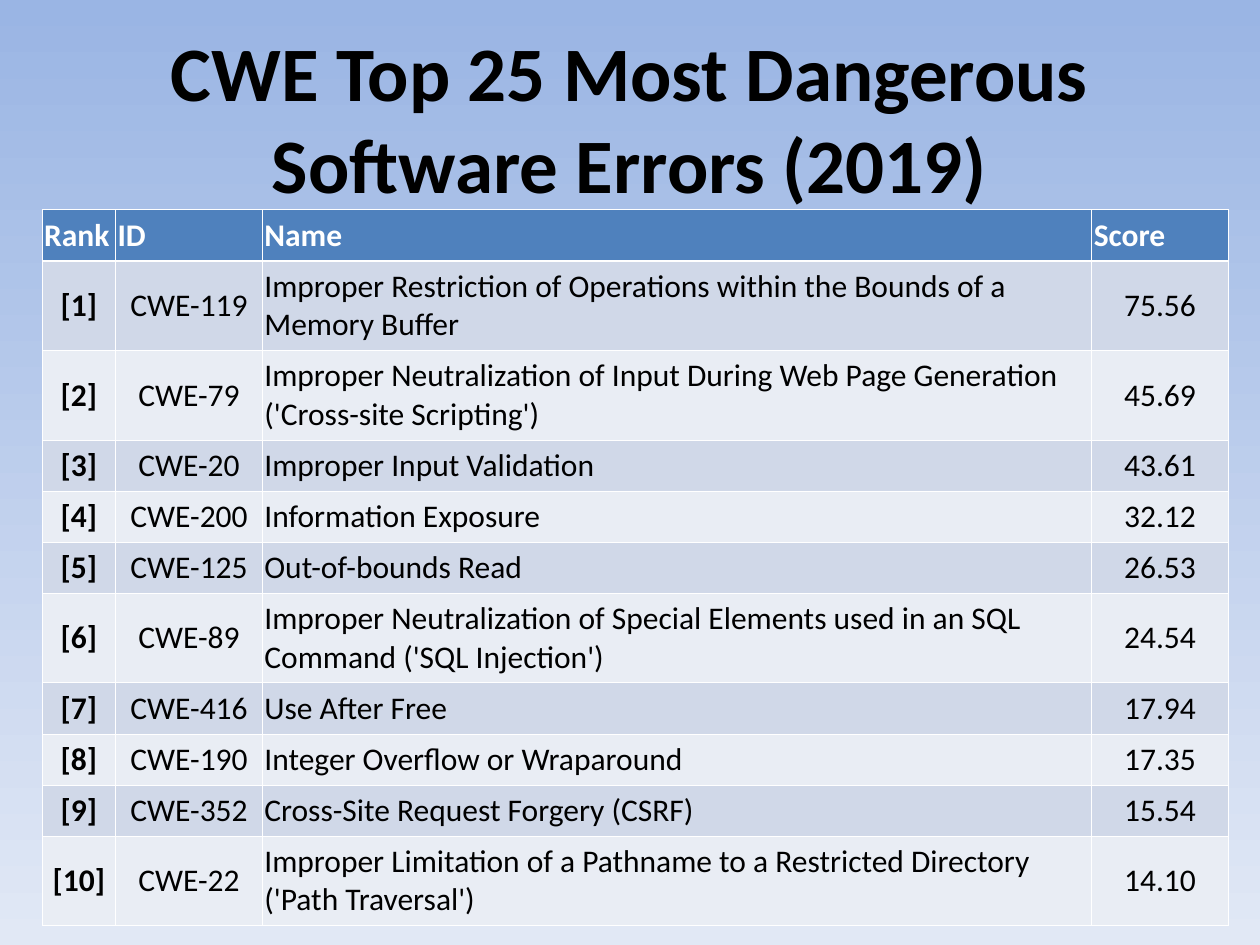
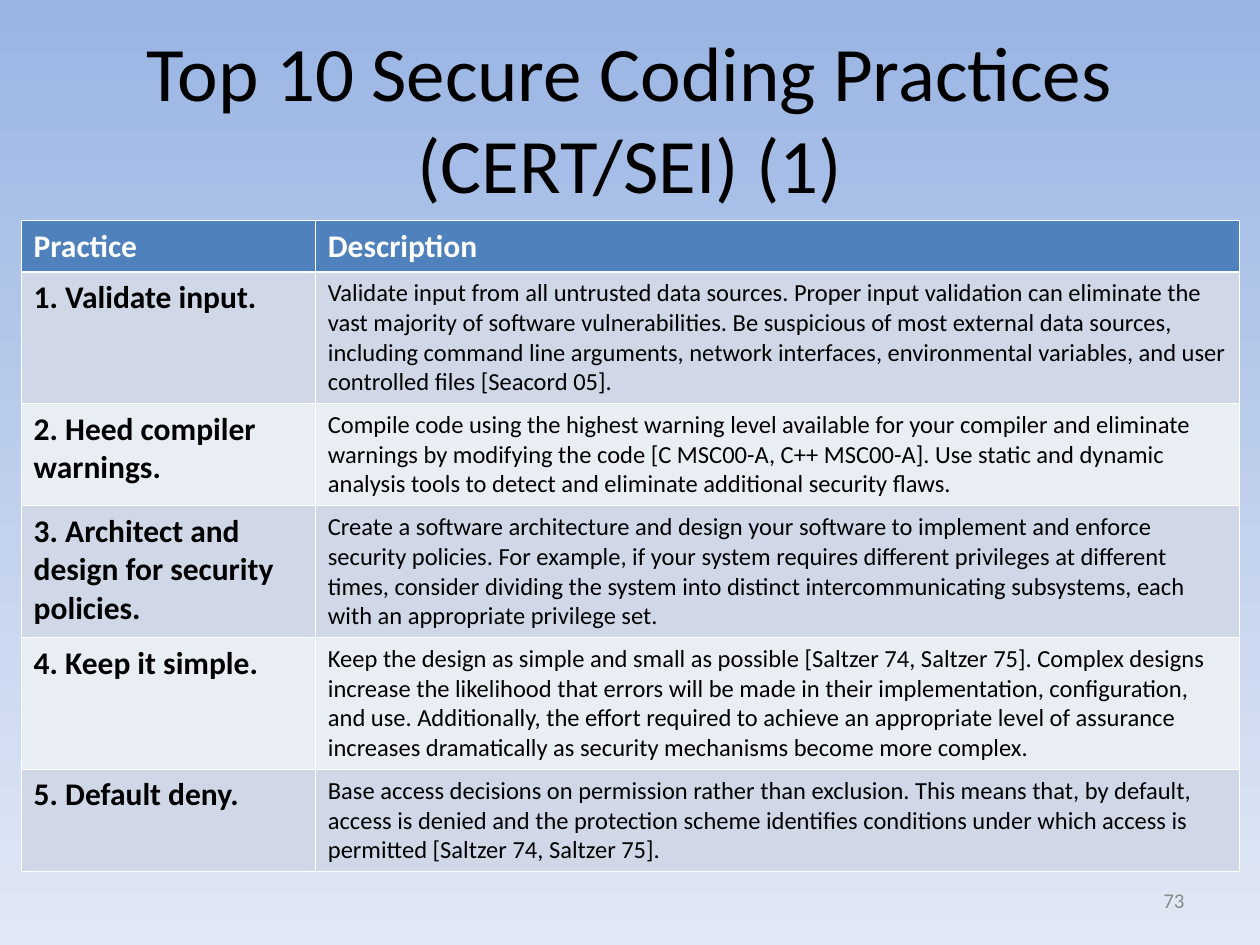
from lxml import etree
from pptx import Presentation
from pptx.dml.color import RGBColor
from pptx.enum.text import MSO_ANCHOR, MSO_AUTO_SIZE, PP_ALIGN
from pptx.oxml.ns import qn
from pptx.util import Cm, Pt

LEFT, CENTER, RIGHT = PP_ALIGN.LEFT, PP_ALIGN.CENTER, PP_ALIGN.RIGHT
TOP, MIDDLE = MSO_ANCHOR.TOP, MSO_ANCHOR.MIDDLE
NO_AUTOFIT = MSO_AUTO_SIZE.NONE
TITLE_ONLY_LAYOUT = 5

FONT = "Calibri"
BLACK, WHITE, GREY = "000000", "FFFFFF", "898989"
HEADER_FILL = "4F81BD"
BAND_FILLS = ("D0D8E8", "E9EDF4")
BACKGROUND = ("9AB5E4", "E1E8F5")
THIN_BORDER, HEADER_BORDER = 0.45, 1.47

SINGLE_ROW, DOUBLE_ROW = 1.02, 1.6

ERRORS = [
    ("CWE-119", "Improper Restriction of Operations within the Bounds of a Memory Buffer", "75.56"),
    ("CWE-79", "Improper Neutralization of Input During Web Page Generation "
               "('Cross-site Scripting')", "45.69"),
    ("CWE-20", "Improper Input Validation", "43.61"),
    ("CWE-200", "Information Exposure", "32.12"),
    ("CWE-125", "Out-of-bounds Read", "26.53"),
    ("CWE-89", "Improper Neutralization of Special Elements used in an SQL Command "
               "('SQL Injection')", "24.54"),
    ("CWE-416", "Use After Free", "17.94"),
    ("CWE-190", "Integer Overflow or Wraparound", "17.35"),
    ("CWE-352", "Cross-Site Request Forgery (CSRF)", "15.54"),
    ("CWE-22", "Improper Limitation of a Pathname to a Restricted Directory "
               "('Path Traversal')", "14.10"),
]

PRACTICES = [
    ("Validate input.",
     "Validate input from all untrusted data sources. Proper input validation can eliminate "
     "the vast majority of software vulnerabilities. Be suspicious of most external data "
     "sources, including command line arguments, network interfaces, environmental variables, "
     "and user controlled files [Seacord 05]."),
    ("Heed compiler warnings.",
     "Compile code using the highest warning level available for your compiler and eliminate "
     "warnings by modifying the code [C MSC00-A, C++ MSC00-A]. Use static and dynamic analysis "
     "tools to detect and eliminate additional security flaws."),
    ("Architect and design for security policies.",
     "Create a software architecture and design your software to implement and enforce "
     "security policies. For example, if your system requires different privileges at "
     "different times, consider dividing the system into distinct intercommunicating "
     "subsystems, each with an appropriate privilege set."),
    ("Keep it simple.",
     "Keep the design as simple and small as possible [Saltzer 74, Saltzer 75]. Complex "
     "designs increase the likelihood that errors will be made in their implementation, "
     "configuration, and use. Additionally, the effort required to achieve an appropriate "
     "level of assurance increases dramatically as security mechanisms become more complex."),
    ("Default deny.",
     "Base access decisions on permission rather than exclusion. This means that, by default, "
     "access is denied and the protection scheme identifies conditions under which access is "
     "permitted [Saltzer 74, Saltzer 75]."),
]


def color(hex_string):
    return RGBColor.from_string(hex_string)


def set_borders(cell, top, bottom):
    """Draw white cell borders; top and bottom are widths in points."""
    properties = cell._tc.get_or_add_tcPr()
    widths = {"lnL": THIN_BORDER, "lnR": THIN_BORDER, "lnT": top, "lnB": bottom}
    for position, (tag, width) in enumerate(widths.items()):
        line = etree.Element(qn(f"a:{tag}"), w=str(Pt(width)))
        fill = etree.SubElement(line, qn("a:solidFill"))
        etree.SubElement(fill, qn("a:srgbClr"), val=WHITE)
        properties.insert(position, line)


class Deck:
    """Holds the shared style and the slide being built."""

    def __init__(self):
        self.presentation = Presentation()
        self.presentation.slide_width = Cm(25.4)
        self.presentation.slide_height = Cm(19.05)
        self.slide = None
        fill = self.presentation.slide_master.background.fill
        fill.gradient()
        fill.gradient_angle = 270
        for stop, hex_string in zip(fill.gradient_stops, BACKGROUND):
            stop.color.rgb = color(hex_string)

    def set_text(self, frame, text, size, hex_string, bold=False, align=LEFT):
        frame.word_wrap = True
        paragraph = frame.paragraphs[0]
        paragraph.text = text
        paragraph.alignment = align
        font = paragraph.font
        font.name, font.size, font.bold = FONT, Pt(size), bold
        font.color.rgb = color(hex_string)

    def add_slide(self, title, bold=False):
        layout = self.presentation.slide_layouts[TITLE_ONLY_LAYOUT]
        self.slide = self.presentation.slides.add_slide(layout)
        shape = self.slide.shapes.title
        shape.left, shape.top, shape.width, shape.height = Cm(1.27), Cm(0.76), Cm(22.86), Cm(3.18)
        frame = shape.text_frame
        frame.auto_size = NO_AUTOFIT
        frame.vertical_anchor = MIDDLE
        self.set_text(frame, title, 44, BLACK, bold, CENTER)

    def add_page_number(self, number):
        box = self.slide.shapes.add_textbox(Cm(18.2), Cm(17.65), Cm(5.93), Cm(1.01))
        box.text_frame.vertical_anchor = MIDDLE
        self.set_text(box.text_frame, str(number), 12, GREY, align=RIGHT)

    def add_table(self, left, top, widths, heights, rows, aligns, body_sizes, anchor, margin):
        """Add a banded table with a header row and a bold first column; lengths in cm."""
        frame = self.slide.shapes.add_table(len(rows), len(widths), Cm(left), Cm(top),
                                            Cm(sum(widths)), Cm(sum(heights)))
        table = frame.table
        table.horz_banding = False
        for column, width in zip(table.columns, widths):
            column.width = Cm(width)
        for row_index, (row, height) in enumerate(zip(rows, heights)):
            table.rows[row_index].height = Cm(height)
            header = row_index == 0
            fill = HEADER_FILL if header else BAND_FILLS[(row_index - 1) % 2]
            for column_index, text in enumerate(row):
                cell = table.cell(row_index, column_index)
                cell.fill.solid()
                cell.fill.fore_color.rgb = color(fill)
                cell.vertical_anchor = anchor
                cell.margin_left = cell.margin_right = Cm(margin)
                set_borders(cell, top=HEADER_BORDER if row_index == 1 else THIN_BORDER,
                            bottom=HEADER_BORDER if header else THIN_BORDER)
                self.set_text(cell.text_frame, text,
                              size=18 if header else body_sizes[column_index],
                              hex_string=WHITE if header else BLACK,
                              bold=header or column_index == 0,
                              align=LEFT if header else aligns[column_index])


def add_errors_slide(deck):
    deck.add_slide("CWE Top 25 Most Dangerous Software Errors (2019)", bold=True)
    rows = [("Rank", "ID", "Name", "Score")]
    rows += [(f"[{rank}]", *error) for rank, error in enumerate(ERRORS, start=1)]
    heights = [DOUBLE_ROW if len(row[2]) > 60 else SINGLE_ROW for row in rows]
    deck.add_table(0.85, 4.23, (1.48, 2.96, 16.72, 2.75), heights, rows,
                   aligns=(CENTER, CENTER, LEFT, CENTER), body_sizes=(18,) * 4,
                   anchor=MIDDLE, margin=0.04)


def add_practices_slide(deck):
    deck.add_slide("Top 10 Secure Coding Practices (CERT/SEI) (1)")
    rows = [("Practice", "Description")]
    rows += [(f"{number}. {practice}", description)
             for number, (practice, description) in enumerate(PRACTICES, start=1)]
    deck.add_table(0.43, 4.45, (5.93, 18.62), (SINGLE_ROW, 2.62, 2.03, 2.62, 2.62, 2.03), rows,
                   aligns=(LEFT, LEFT), body_sizes=(18, 14), anchor=TOP, margin=0.25)
    deck.add_page_number(73)


def main():
    deck = Deck()
    add_errors_slide(deck)
    add_practices_slide(deck)
    deck.presentation.save("out.pptx")


if __name__ == "__main__":
    main()
